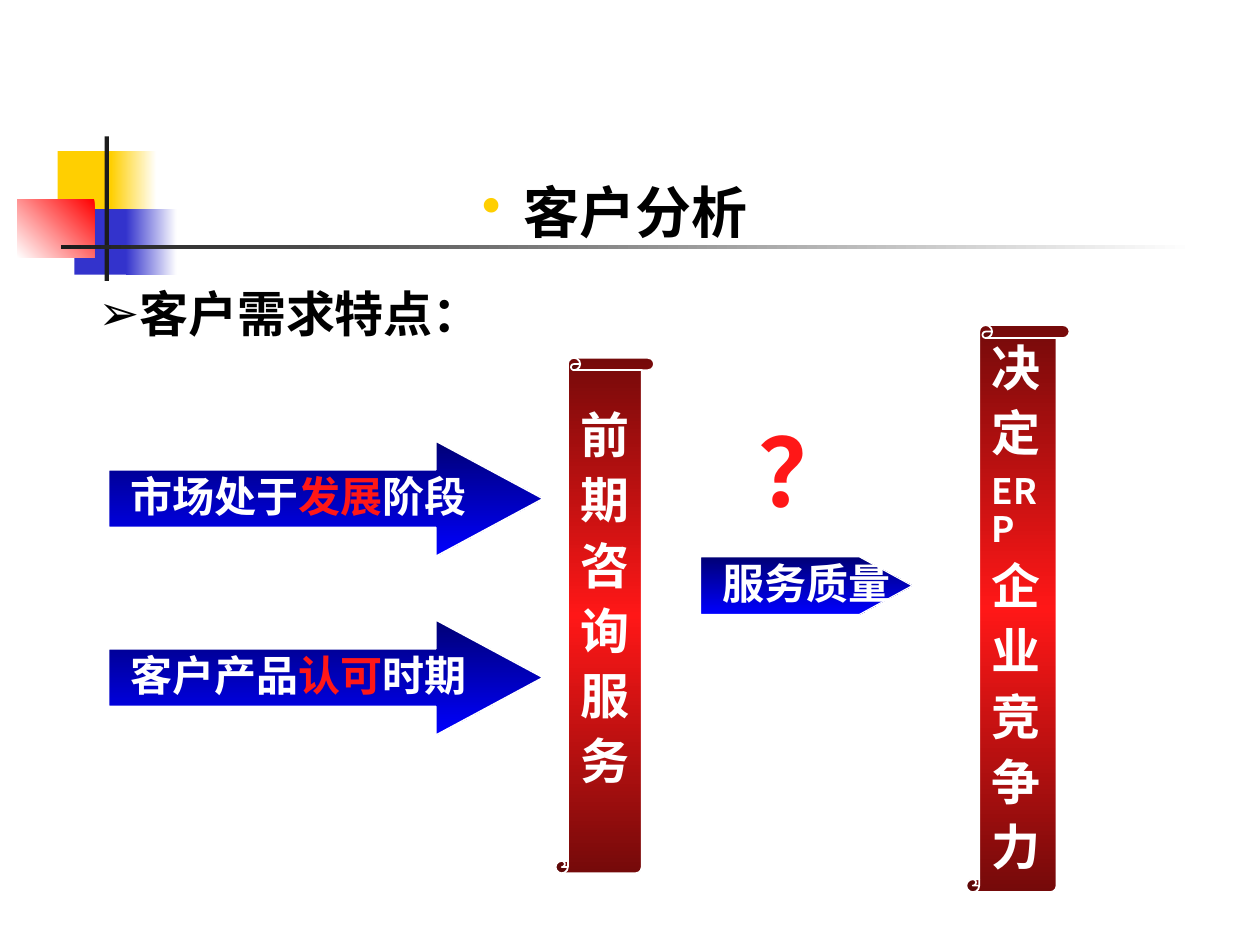
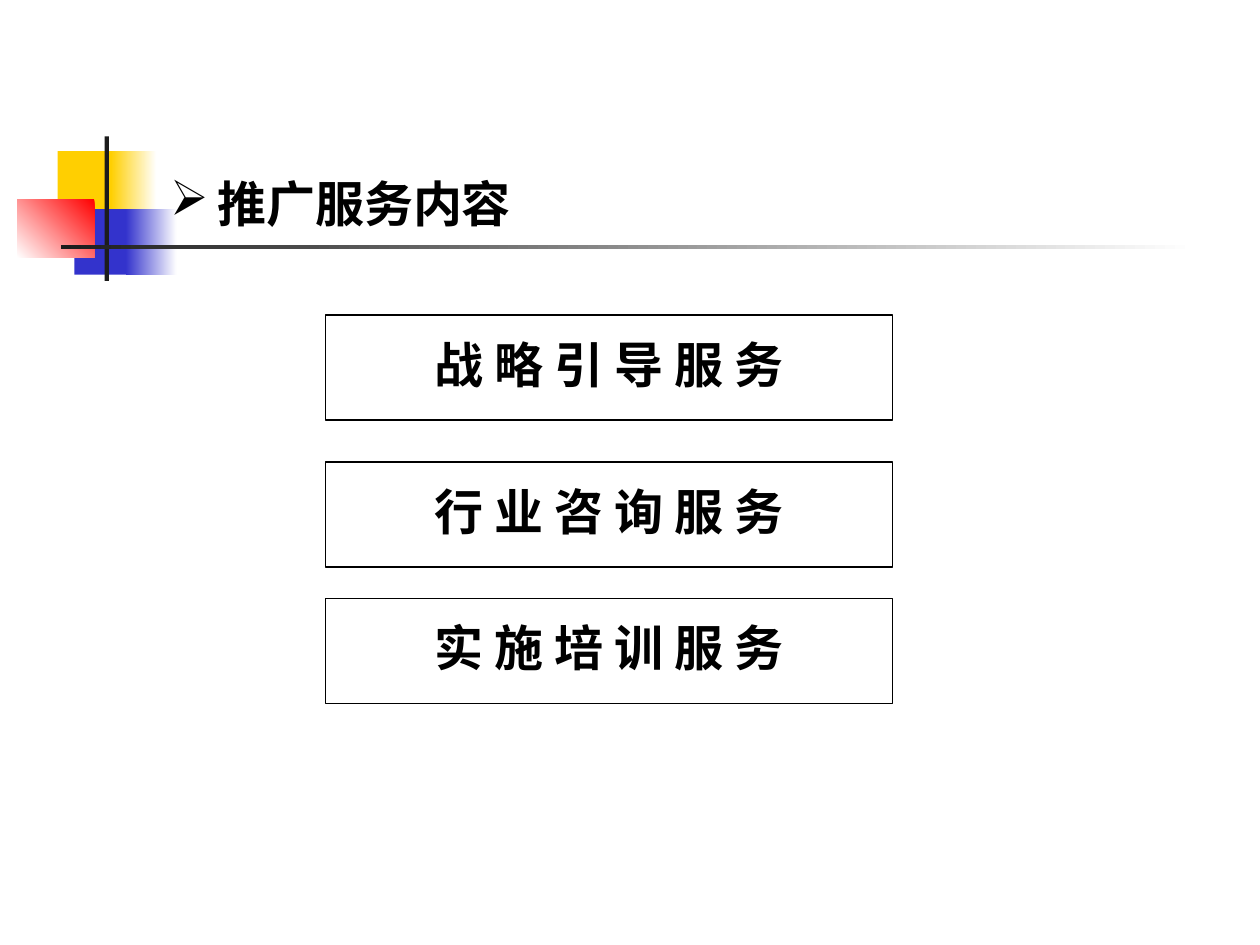
from dataclasses import dataclass

from pptx import Presentation
from pptx.dml.color import RGBColor
from pptx.enum.shapes import MSO_SHAPE as Shape
from pptx.enum.text import MSO_ANCHOR as Anchor, MSO_AUTO_SIZE as AutoSize, PP_ALIGN as Align
from pptx.oxml import parse_xml
from pptx.oxml.ns import nsdecls, qn
from pptx.util import Pt


@dataclass(frozen=True)
class Theme:
    """Colours, fonts and type sizes shared by the slides."""
    white: str = "FFFFFF"
    black: str = "000000"
    ink: str = "1C1C1C"
    yellow: str = "FFCF01"
    blue: str = "3333CC"
    corner_red: str = "FF0000"
    accent: str = "FF1717"
    arrow_fill: tuple = ("000075", "0000FF")
    scroll_fill: tuple = ("750A0A", "FF1717", "750A0A")
    font: str = "Noto Sans CJK SC"
    heading_font: str = "Times New Roman"
    title_size: int = 32
    heading_size: int = 28
    label_size: int = 24
    small_size: int = 20
    mark_size: int = 54


THEME = Theme()


def place(shape, left, top, width, height):
    """Move and size a shape in points."""
    shape.left, shape.top, shape.width, shape.height = map(Pt, (left, top, width, height))
    return shape


def paint(shape, colours, angle=90, line=None, line_width=1):
    """Fill with one colour or with a gradient of several, and set the outline."""
    shape.shadow.inherit = False
    if isinstance(colours, str):
        shape.fill.solid()
        shape.fill.fore_color.rgb = RGBColor.from_string(colours)
    else:
        shape.fill.background()
        step = 100000 // (len(colours) - 1)
        stops = "".join(f'<a:gs pos="{i * step}"><a:srgbClr val="{colour}"/></a:gs>'
                        for i, colour in enumerate(colours))
        gradient = parse_xml(f'<a:gradFill {nsdecls("a")} rotWithShape="1"><a:gsLst>{stops}</a:gsLst>'
                             f'<a:lin ang="{angle * 60000}" scaled="0"/></a:gradFill>')
        properties = shape.element.spPr
        properties.replace(properties.find(qn("a:noFill")), gradient)
    if line:
        shape.line.color.rgb = RGBColor.from_string(line)
        shape.line.width = Pt(line_width)
    else:
        shape.line.fill.background()
    return shape


def add_bullet(paragraph, mark, colour, hanging):
    """Give a paragraph a coloured bullet and a hanging indent."""
    properties = paragraph._p.get_or_add_pPr()
    properties.set("marL", str(Pt(hanging)))
    properties.set("indent", str(-Pt(hanging)))
    properties.append(parse_xml(f'<a:buClr {nsdecls("a")}><a:srgbClr val="{colour}"/></a:buClr>'))
    properties.append(parse_xml(f'<a:buChar {nsdecls("a")} char="{mark}"/>'))


def write(shape, *lines, size=THEME.heading_size, sizes=None, colour=THEME.white, font=THEME.font,
          align=Align.LEFT, anchor=Anchor.TOP, spacing=0.9, before=7, inset=(7.2, 3.6, 7.2, 3.6),
          bullet=None):
    """Write lines, each a text or a list of (text, colour) pairs, in one format."""
    frame = shape.text_frame
    frame.word_wrap = True
    frame.auto_size = AutoSize.NONE
    frame.vertical_anchor = anchor
    frame.margin_left, frame.margin_top, frame.margin_right, frame.margin_bottom = map(Pt, inset)
    for index, line in enumerate(lines):
        paragraph = frame.add_paragraph() if index else frame.paragraphs[0]
        if bullet:
            add_bullet(paragraph, *bullet)
        paragraph.alignment = align
        paragraph.line_spacing = spacing
        paragraph.space_before = Pt(before if index else 0)
        for text, run_colour in [(line, colour)] if isinstance(line, str) else line:
            run = paragraph.add_run()
            run.text = text
            run.font.size = Pt((sizes or {}).get(text, size))
            run.font.bold = True
            run.font.color.rgb = RGBColor.from_string(run_colour)
            run.font.name = font
            run.font._element.find(qn("a:latin")).addnext(
                parse_xml(f'<a:ea {nsdecls("a")} typeface="{THEME.font}"/>'))


def add_block(slide, kind, box, colours, **outline):
    """Add a painted preset shape."""
    return paint(slide.shapes.add_shape(kind, *map(Pt, box)), colours, **outline)


def decorate_master(master, slide):
    """Draw the corner squares and rules, then hand them to the slide master."""
    t = THEME
    ornaments = [
        ((33, 86.4, 34.8, 37.4), t.yellow, 0),
        ((63.4, 86.4, 26, 37.4), (t.yellow, t.white), 0),
        ((42.5, 119.5, 33, 37.4), t.blue, 0),
        ((72, 119.5, 29, 37.4), (t.blue, t.white), 0),
        ((9.8, 113.8, 44.2, 33.4), (t.corner_red, t.white), 135),
        ((59.8, 78, 2.5, 82.6), t.ink, 0),
        ((34.8, 140, 648, 2.5), (t.ink, t.white), 0),
    ]
    tree = master.element.cSld.spTree
    for index, (box, colours, angle) in enumerate(ornaments):
        ornament = add_block(slide, Shape.RECTANGLE, box, colours, angle=angle)
        tree.insert(2 + index, ornament.element)


def add_stage_arrow(slide, top, start, highlight, end):
    """Add a blue arrow whose middle word is highlighted."""
    arrow = add_block(slide, Shape.RIGHT_ARROW, (62, top, 248.4, 66), THEME.arrow_fill, line=THEME.white)
    arrow.adjustments[1] = 0.93
    write(arrow, [(start, THEME.white), (highlight, THEME.accent), (end, THEME.white)],
          size=THEME.label_size, inset=(12.6, 3.6, 0, 3.6))


def add_scroll(slide, box, lines, top_inset=3.6):
    """Add a red scroll with its words running downwards."""
    scroll = add_block(slide, Shape.VERTICAL_SCROLL, box, THEME.scroll_fill, line=THEME.white)
    write(scroll, *lines, sizes={"ERP": THEME.small_size}, inset=(7.2, top_inset, 7.2, 3.6))


def add_quality_pointer(slide, left, top, width, height, tip):
    """Add the pointed label for service quality."""
    right, shoulder = left + width, left + width - tip
    outline = slide.shapes.build_freeform(Pt(left), Pt(top))
    outline.add_line_segments([(Pt(x), Pt(y)) for x, y in (
        (shoulder, top), (right, top + height / 2), (shoulder, top + height), (left, top + height))])
    pointer = paint(outline.convert_to_shape(), THEME.arrow_fill, line=THEME.white, line_width=0.75)
    write(pointer, "服务质量", size=THEME.label_size, inset=(12.6, 3.6, 0, 3.6))


def build_customer_analysis(slide):
    """Fill the slide on customer needs."""
    t = THEME
    write(place(slide.shapes.title, 167.8, 102.2, 367.2, 41.8), "客户分析", size=t.title_size,
          colour=t.black, align=Align.CENTER, bullet=("•", t.yellow, 24))
    write(place(slide.placeholders[1], 49, 162, 228, 70), "客户需求特点：",
          colour=t.black, font=t.heading_font, bullet=("➢", t.black, 17))
    add_stage_arrow(slide, 252, "市场处于", "发展", "阶段")
    add_stage_arrow(slide, 354.2, "客户产品", "认可", "时期")
    add_scroll(slide, (317.5, 204.5, 56.2, 294.5), "前期咨询服务", top_inset=23.6)
    add_scroll(slide, (552.2, 185.8, 59, 324), [*"决定", "ERP", *"企业竞争力"])
    add_quality_pointer(slide, 400.3, 318.2, 121, 33, 30.2)
    question = slide.shapes.add_textbox(*map(Pt, (426.2, 239.8, 70, 65.5)))
    write(question, "？", size=t.mark_size, colour=t.accent)


def build_service_content(slide):
    """Fill the slide on the services offered."""
    t = THEME
    write(place(slide.shapes.title, 90, 95.8, 252, 54), "推广服务内容", colour=t.black,
          font=t.heading_font, spacing=1.0, bullet=("➢", t.black, 27))
    services = {"战 略 引 导 服 务": 180, "行 业 咨 询 服 务": 264, "实 施 培 训 服 务": 342}
    for service, top in services.items():
        card = add_block(slide, Shape.RECTANGLE, (186, top, 324, 60), t.white, line=t.black, line_width=0.75)
        write(card, service, colour=t.black, align=Align.CENTER, anchor=Anchor.MIDDLE)


def main():
    """Build and save the presentation."""
    deck = Presentation()
    deck.slide_width, deck.slide_height = Pt(720), Pt(540)
    analysis = deck.slides.add_slide(deck.slide_layouts[1])
    decorate_master(deck.slide_master, analysis)
    build_customer_analysis(analysis)
    build_service_content(deck.slides.add_slide(deck.slide_layouts[5]))
    deck.save("out.pptx")


if __name__ == "__main__":
    main()
